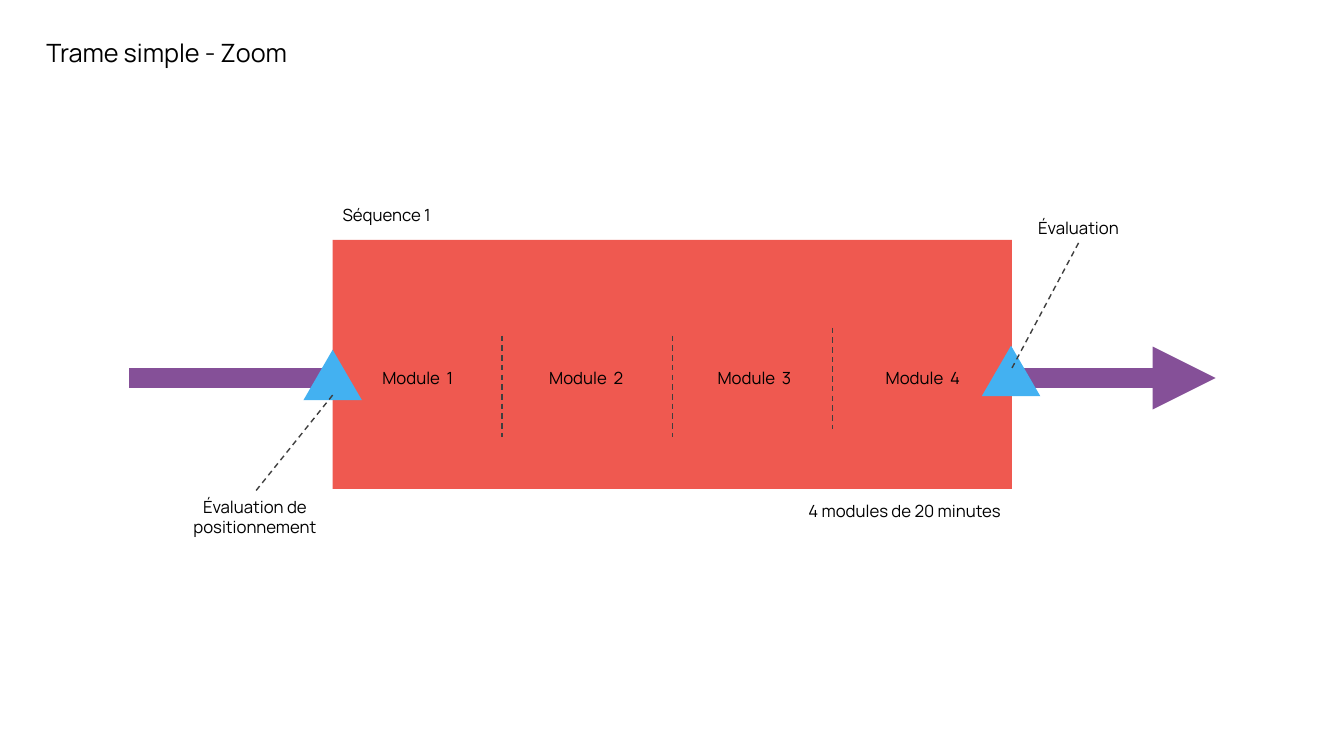
import pptx
import pptx.dml.color
import pptx.enum.dml
import pptx.enum.shapes
import pptx.enum.text
import pptx.oxml
import pptx.oxml.ns
import pptx.util

BLACK = pptx.dml.color.RGBColor(0x00, 0x00, 0x00)
GREY = pptx.dml.color.RGBColor(0x3F, 0x3F, 0x3F)
PURPLE = pptx.dml.color.RGBColor(0x85, 0x50, 0x98)
RED = pptx.dml.color.RGBColor(0xEF, 0x59, 0x50)
BLUE = pptx.dml.color.RGBColor(0x43, 0xB1, 0xF1)

COLUMNS, ROWS = 133.33, 75
ALIGN = pptx.enum.text.PP_ALIGN
SHAPE = pptx.enum.shapes.MSO_SHAPE


class Diagram:
    """Draws styled elements on one page, measured in grid columns and rows."""

    font_name = "Manrope"
    label_size = 12
    title_size = 18

    def __init__(self, deck):
        self.column = deck.slide_width / COLUMNS
        self.row = deck.slide_height / ROWS
        self.page = deck.slides.add_slide(deck.slide_layouts[5])
        self.shapes = self.page.shapes

    def place(self, left, top, width, height):
        return (round(left * self.column), round(top * self.row),
                round(width * self.column), round(height * self.row))

    def fill_text(self, box, text, size, align):
        frame = box.text_frame
        frame.text = text
        frame.word_wrap = True
        frame.auto_size = pptx.enum.text.MSO_AUTO_SIZE.NONE
        frame.vertical_anchor = pptx.enum.text.MSO_ANCHOR.TOP
        para = frame.paragraphs[0]
        para.alignment = align
        para.font.name = self.font_name
        para.font.size = pptx.util.Pt(size)
        para.font.color.rgb = BLACK

    def title(self, text, *area):
        box = self.page.shapes.title
        box.left, box.top, box.width, box.height = self.place(*area)
        self.fill_text(box, text, self.title_size, ALIGN.LEFT)

    def label(self, text, *area, align=ALIGN.CENTER):
        box = self.shapes.add_textbox(*self.place(*area))
        self.fill_text(box, text, self.label_size, align)

    def shape(self, kind, color, *area):
        shape = self.shapes.add_shape(kind, *self.place(*area))
        shape.shadow.inherit = False
        shape.fill.solid()
        shape.fill.fore_color.rgb = color
        shape.line.fill.background()

    def connector(self, start, end, color, width):
        line = self.shapes.add_connector(
            pptx.enum.shapes.MSO_CONNECTOR.STRAIGHT,
            *self.place(*start, *end))
        line.line.color.rgb = color
        line.line.width = pptx.util.Pt(width)
        effects = pptx.oxml.ns.qn("a:effectLst")
        properties = line.element.spPr
        properties.append(properties.makeelement(effects, {}))
        return line

    def dashes(self, start, end):
        line = self.connector(start, end, GREY, 1)
        line.line.dash_style = pptx.enum.dml.MSO_LINE.DASH

    def arrow(self, start, end):
        line = self.connector(start, end, PURPLE, 15)
        outline = line.element.spPr.find(pptx.oxml.ns.qn("a:ln"))
        tail = pptx.oxml.ns.qn("a:tailEnd")
        outline.append(outline.makeelement(tail, {"type": "triangle"}))

    def milestone(self, text, triangle, start, end, area):
        self.shapes = self.page.shapes.add_group_shape().shapes
        self.shape(SHAPE.ISOSCELES_TRIANGLE, BLUE, *triangle, 5.8, 5)
        self.dashes(start, end)
        self.label(text, *area)
        self.shapes = self.page.shapes


def main():
    deck = pptx.Presentation()
    deck.slide_width = pptx.util.Inches(13.33)
    deck.slide_height = pptx.util.Inches(7.5)
    diagram = Diagram(deck)

    diagram.title("Trame simple - Zoom", 3.6, 3.2, 66.1, 4)
    diagram.arrow((12.8, 37.5), (120.6, 37.5))
    diagram.shape(SHAPE.RECTANGLE, RED, 33, 23.8, 67.4, 24.7)
    diagram.label("Séquence 1", 33, 19.8, 19.5, 3, align=ALIGN.LEFT)
    diagram.label("4 modules de 20 minutes", 76, 49.2, 24.3, 3,
                  align=ALIGN.RIGHT)

    for left, top in ((49.8, 33.3), (66.7, 33.3), (82.6, 32.5)):
        diagram.dashes((left, top), (left, top + 10.1))
    for index in range(4):
        diagram.label(f"Module  {index + 1}", 33.9 + 16.7 * index, 36, 15.1, 3)

    diagram.milestone("Évaluation de positionnement", (30.1, 34.7),
                      (33, 39.2), (25.3, 48.8), (14.7, 48.8, 21.2, 5))
    diagram.milestone("Évaluation", (97.4, 34.3),
                      (107, 24.1), (100.4, 36.5), (96.4, 21.1, 21.2, 3))
    deck.save("out.pptx")


if __name__ == "__main__":
    main()
